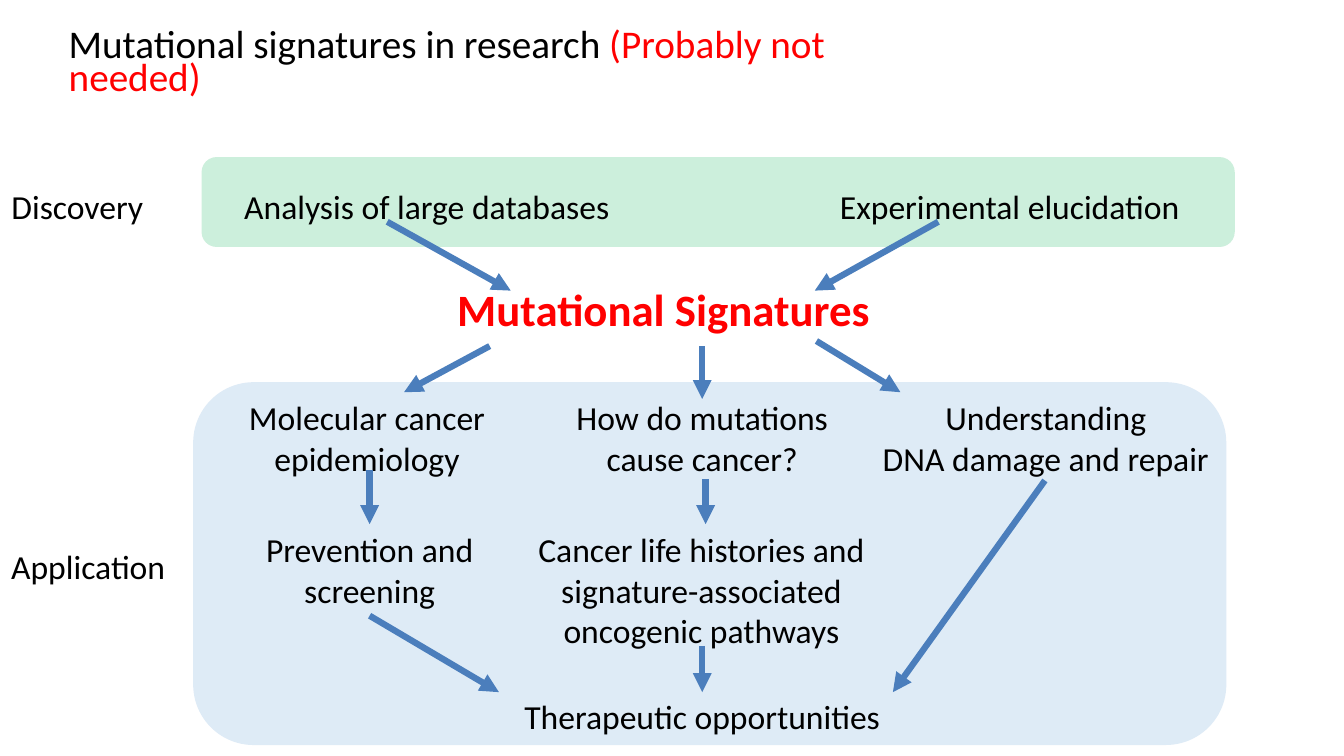
"""Build the slide on the role of mutational signatures in research."""
import dataclasses

import lxml.etree
import pptx
import pptx.dml.color
import pptx.enum.shapes
import pptx.enum.text
import pptx.oxml.ns
import pptx.slide
import pptx.text.text
import pptx.util

COLORS = {"ink": "000000", "accent": "FF0000", "arrow": "4B7EBC",
          "discovery": "00B050", "application": "5B9BD5"}
FONT = "Calibri"
SLIDE_WIDTH = pptx.util.Inches(13.33)
SLIDE_HEIGHT = pptx.util.Inches(7.5)
COLUMNS, ROWS = 160, 90

SOURCE_ROW = 21.5
TOPIC_ROW = 46.7
OUTCOME_ROW = 62.4
THERAPY_ROW = 82.4
ONE_LINE, TWO_LINES, THREE_LINES = 6, 10.9, 15.7


@dataclasses.dataclass(frozen=True)
class Panel:
    column: float
    row: float
    columns: float
    rows: float
    color: str


@dataclasses.dataclass(frozen=True)
class Label:
    text: str
    column: float
    row: float
    columns: float
    rows: float = ONE_LINE
    wrap: bool = True
    size: int = 24
    color: str = "ink"
    bold: bool = False


@dataclasses.dataclass(frozen=True)
class Arrow:
    start: tuple[float, float]
    end: tuple[float, float]


PANELS = [
    Panel(23, 45.5, 123, 43.2, "application"),
    Panel(24, 18.7, 123, 10.7, "discovery"),
]

LABELS = [
    Label("Discovery", 0.1, SOURCE_ROW, 18.2, wrap=False),
    Label("Analysis of large databases", 27.6, SOURCE_ROW, 46.4),
    Label("Experimental elucidation", 97, SOURCE_ROW, 46.4),
    Label("Mutational Signatures", 53, 33, 52, 7.7, False, 32, "accent", True),
    Label("Molecular cancer epidemiology", 23.2, TOPIC_ROW, 41, TWO_LINES),
    Label("How do mutations cause cancer?", 67.1, TOPIC_ROW, 33, TWO_LINES),
    Label("Understanding\nDNA damage and repair", 102, TOPIC_ROW, 45, TWO_LINES),
    Label("Application", 0, 64.4, 21, wrap=False),
    Label("Prevention and screening", 24, OUTCOME_ROW, 40, TWO_LINES),
    Label("Cancer life histories and signature-associated oncogenic pathways",
          62, OUTCOME_ROW, 43, THREE_LINES),
    Label("Therapeutic opportunities", 52.1, 82.3, 63),
]

ARROWS = [
    Arrow((46.1, 26.4), (60.8, 34.6)),
    Arrow((111.7, 26.4), (97, 34.6)),
    Arrow((58.3, 41.2), (48.1, TOPIC_ROW)),
    Arrow((83.6, 41.2), (83.6, 47.5)),
    Arrow((97.2, 40.6), (107.2, TOPIC_ROW)),
    Arrow((44, 56), (44, OUTCOME_ROW)),
    Arrow((84, 57), (84, OUTCOME_ROW)),
    Arrow((44, 73.3), (59.4, THERAPY_ROW)),
    Arrow((83.6, 76.9), (83.6, THERAPY_ROW)),
    Arrow((124.4, 57.2), (106.3, THERAPY_ROW)),
]


def across(columns: float) -> int:
    return round(SLIDE_WIDTH * columns / COLUMNS)


def down(rows: float) -> int:
    return round(SLIDE_HEIGHT * rows / ROWS)


def rgb(color: str) -> pptx.dml.color.RGBColor:
    return pptx.dml.color.RGBColor.from_string(COLORS[color])


def draw_panel(slide: pptx.slide.Slide, panel: Panel) -> None:
    box = slide.shapes.add_shape(
        pptx.enum.shapes.MSO_SHAPE.ROUNDED_RECTANGLE,
        across(panel.column), down(panel.row),
        across(panel.columns), down(panel.rows))
    box.shadow.inherit = False
    box.line.fill.background()
    box.fill.solid()
    box.fill.fore_color.rgb = rgb(panel.color)
    tint = box.fill._xPr.find(".//" + pptx.oxml.ns.qn("a:srgbClr"))
    lxml.etree.SubElement(tint, pptx.oxml.ns.qn("a:alpha"), val="20000")


def add_text_frame(slide: pptx.slide.Slide, column: float, row: float,
                   columns: float, rows: float) -> pptx.text.text.TextFrame:
    return slide.shapes.add_textbox(
        across(column), down(row), across(columns), down(rows)).text_frame


def draw_label(slide: pptx.slide.Slide, label: Label) -> None:
    frame = add_text_frame(slide, label.column, label.row, label.columns, label.rows)
    frame.word_wrap = label.wrap
    frame.auto_size = pptx.enum.text.MSO_AUTO_SIZE.SHAPE_TO_FIT_TEXT
    frame.text = label.text
    for paragraph in frame.paragraphs:
        paragraph.alignment = pptx.enum.text.PP_ALIGN.CENTER
        paragraph.font.name = FONT
        paragraph.font.size = pptx.util.Pt(label.size)
        paragraph.font.bold = label.bold
        paragraph.font.color.rgb = rgb(label.color)


def draw_title(slide: pptx.slide.Slide) -> None:
    frame = add_text_frame(slide, 7, 3, 106, 9.5)
    frame.word_wrap = True
    frame.vertical_anchor = pptx.enum.text.MSO_ANCHOR.MIDDLE
    title = frame.paragraphs[0]
    title.line_spacing = 0.7
    title.font.name = FONT
    title.font.size = pptx.util.Pt(28)
    for words, color in (("Mutational signatures in research ", "ink"),
                         ("(Probably not needed)", "accent")):
        run = title.add_run()
        run.text = words
        run.font.color.rgb = rgb(color)


def draw_arrow(slide: pptx.slide.Slide, arrow: Arrow) -> None:
    connector = slide.shapes.add_connector(
        pptx.enum.shapes.MSO_CONNECTOR.STRAIGHT,
        across(arrow.start[0]), down(arrow.start[1]),
        across(arrow.end[0]), down(arrow.end[1]))
    connector.line.color.rgb = rgb("arrow")
    connector.line.width = pptx.util.Pt(4.5)
    lxml.etree.SubElement(connector.line._get_or_add_ln(),
                          pptx.oxml.ns.qn("a:tailEnd"), type="triangle")
    lxml.etree.SubElement(connector._element.spPr, pptx.oxml.ns.qn("a:effectLst"))


def main() -> None:
    presentation = pptx.Presentation()
    presentation.slide_width = SLIDE_WIDTH
    presentation.slide_height = SLIDE_HEIGHT
    slide = presentation.slides.add_slide(presentation.slide_layouts[6])
    for panel in PANELS:
        draw_panel(slide, panel)
    draw_title(slide)
    for label in LABELS:
        draw_label(slide, label)
    for arrow in ARROWS:
        draw_arrow(slide, arrow)
    presentation.save("out.pptx")


if __name__ == "__main__":
    main()
